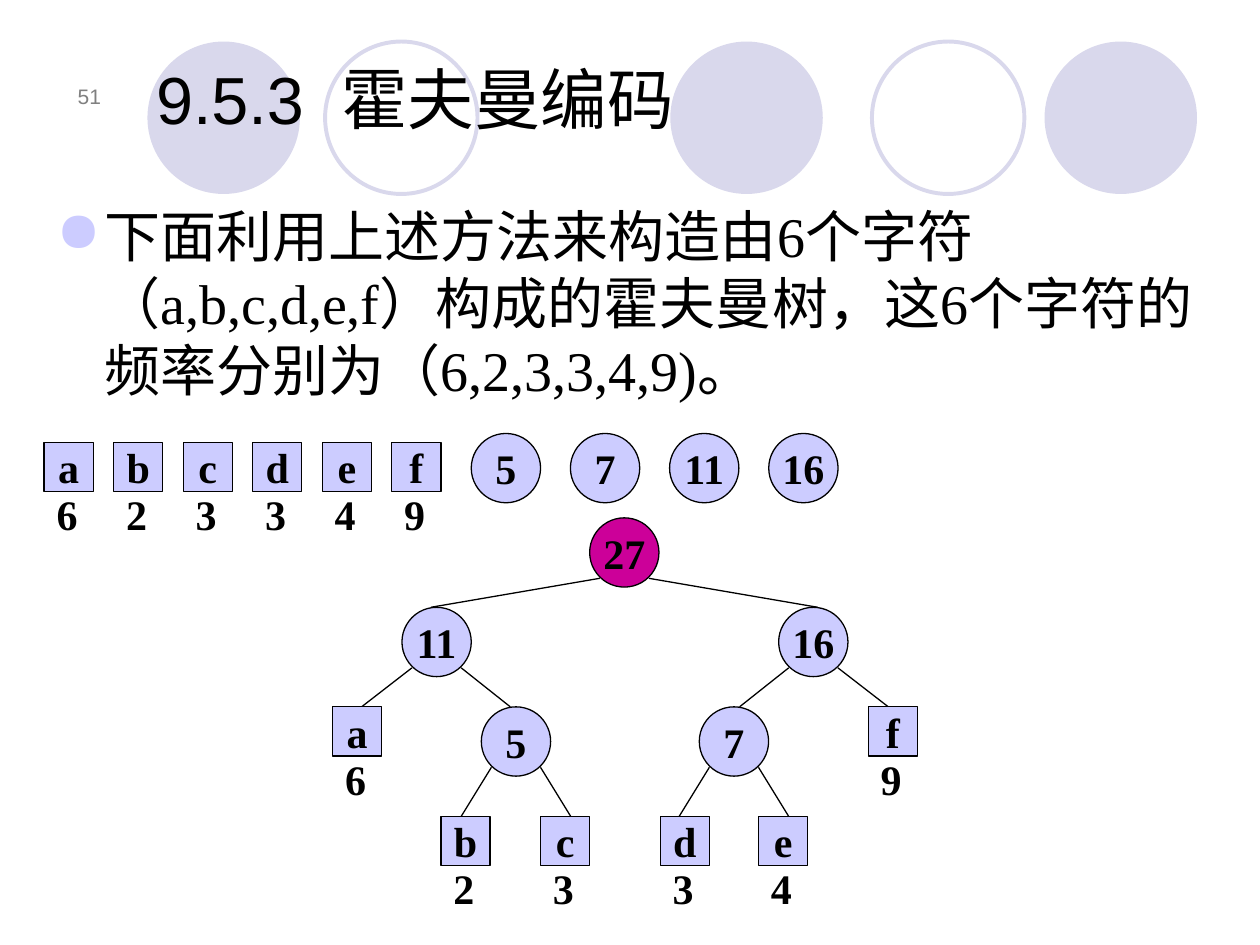
import pptx
import pptx.util
import pptx.dml.color
import pptx.enum.shapes
import pptx.enum.text
import pptx.oxml.ns
import lxml.etree

Inches = pptx.util.Inches
Pt = pptx.util.Pt
RGBColor = pptx.dml.color.RGBColor
SHAPE = pptx.enum.shapes.MSO_SHAPE
ALIGN = pptx.enum.text.PP_ALIGN
ANCHOR = pptx.enum.text.MSO_ANCHOR
qn = pptx.oxml.ns.qn

BLACK = RGBColor(0x00, 0x00, 0x00)
GRAY = RGBColor(0x80, 0x80, 0x80)
PALE = RGBColor(0xD9, 0xD8, 0xEC)
LAVENDER = RGBColor(0xCC, 0xCC, 0xFF)
MAGENTA = RGBColor(0xCC, 0x00, 0x99)
SANS = "Arial"
SERIF = "Times New Roman"

LEAF_SIZE = 0.39
NODE_SIZE = 0.55
FREQUENCIES = {"a": 6, "b": 2, "c": 3, "d": 3, "e": 4, "f": 9}
MERGED_WEIGHTS = ["5", "7", "11", "16"]
DECOR_CIRCLES = [(5.32, True), (8.29, True), (1.17, True), (6.92, False), (2.58, False)]
TREE_POSITIONS = {
    "27": (4.68, 4.11),
    "11": (3.19, 4.82), "16": (6.18, 4.82),
    "a": (2.64, 5.61), "5": (3.82, 5.61), "7": (5.55, 5.61), "f": (6.89, 5.61),
    "b": (3.5, 6.48), "c": (4.29, 6.48), "d": (5.24, 6.48), "e": (6.02, 6.48),
}
TREE_BRANCHES = {
    "27": [("11", 3.42), ("16", 6.49)],
    "11": [("a", 2.87), ("5", 4.05)],
    "16": [("7", 5.87), ("f", 7.05)],
    "5": [("b", 3.66), ("c", 4.53)],
    "7": [("d", 5.39), ("e", 6.26)],
}


def write_text(shape, text, size, font, color=BLACK, bold=False,
               align=ALIGN.LEFT, anchor=ANCHOR.TOP, wrap=True):
    """Put one formatted paragraph in a shape and return it."""
    frame = shape.text_frame
    frame.text = text
    frame.word_wrap = wrap
    frame.vertical_anchor = anchor
    para = frame.paragraphs[0]
    para.alignment = align
    for span in para.runs:
        span.font.size = Pt(size)
        span.font.name = font
        span.font.bold = bold
        span.font.color.rgb = color
    return para


def add_text(page, left, top, width, height, text, size, font, **style):
    """Add a text box and return its paragraph."""
    box = page.shapes.add_textbox(Inches(left), Inches(top), Inches(width), Inches(height))
    return write_text(box, text, size, font, **style)


def add_figure(page, kind, left, top, size, fill=None, line=None, weight=0.75):
    """Add a square-proportioned preset shape without a shadow."""
    shape = page.shapes.add_shape(kind, Inches(left), Inches(top), Inches(size), Inches(size))
    shape.shadow.inherit = False
    if fill is None:
        shape.fill.background()
    else:
        shape.fill.solid()
        shape.fill.fore_color.rgb = fill
    if line is None:
        shape.line.fill.background()
    else:
        shape.line.color.rgb = line
        shape.line.width = Pt(weight)
    return shape


def add_labelled(page, kind, left, top, size, label, fill=LAVENDER):
    """Add an outlined shape with a centred bold label."""
    shape = add_figure(page, kind, left, top, size, fill, BLACK)
    write_text(shape, label, 24, SERIF, bold=True,
               align=ALIGN.CENTER, anchor=ANCHOR.MIDDLE, wrap=False)


def add_node(page, left, top, label, fill=LAVENDER):
    """Add a round inner node."""
    add_labelled(page, SHAPE.OVAL, left, top, NODE_SIZE, label, fill)


def add_leaf(page, left, top, letter):
    """Add a character square with its frequency below."""
    add_labelled(page, SHAPE.RECTANGLE, left, top, LEAF_SIZE, letter)
    add_text(page, left, top + 0.32, LEAF_SIZE, 0.5, str(FREQUENCIES[letter]),
             24, SERIF, bold=True)


def add_branch(page, start, end):
    """Add a thin straight line between two points."""
    points = [Inches(value) for value in (*start, *end)]
    branch = page.shapes.add_connector(pptx.enum.shapes.MSO_CONNECTOR.STRAIGHT, *points)
    branch.line.color.rgb = BLACK
    branch.line.width = Pt(0.75)
    lxml.etree.SubElement(branch.element.spPr, qn("a:effectLst"))


def add_bullet(para, indent, color):
    """Give a paragraph a hanging round bullet."""
    properties = para._p.get_or_add_pPr()
    properties.set("marL", str(Inches(indent)))
    properties.set("indent", str(-Inches(indent)))
    bullet_color = lxml.etree.SubElement(properties, qn("a:buClr"))
    lxml.etree.SubElement(bullet_color, qn("a:srgbClr")).set("val", str(color))
    lxml.etree.SubElement(properties, qn("a:buChar")).set("char", "●")


def add_heading(page):
    """Add the decorative circles, page number, title and body text."""
    for left, filled in DECOR_CIRCLES:
        add_figure(page, SHAPE.OVAL, left, 0.33, 1.21, fill=PALE if filled else None,
                   line=None if filled else PALE, weight=2.25)
    add_text(page, 0.35, 0.44, 0.55, 0.47, "51", 12, SANS, color=GRAY,
             align=ALIGN.RIGHT, anchor=ANCHOR.BOTTOM)
    add_text(page, 1.14, 0.21, 8.59, 0.93, "9.5.3  霍夫曼编码", 38, SANS, anchor=ANCHOR.BOTTOM)
    body = add_text(
        page, 0.35, 1.55, 9.37, 1.89,
        "下面利用上述方法来构造由6个字符（a,b,c,d,e,f）构成的霍夫曼树，"
        "这6个字符的频率分别为（6,2,3,3,4,9)。", 32, SERIF)
    add_bullet(body, 0.38, LAVENDER)


def add_forest(page):
    """Add the row of characters and merged weights."""
    for index, letter in enumerate(FREQUENCIES):
        add_leaf(page, 0.35 + 0.552 * index, 3.51, letter)
    for index, weight in enumerate(MERGED_WEIGHTS):
        add_node(page, 3.74 + 0.787 * index, 3.44, weight)


def add_tree(page):
    """Add the Huffman tree with its branches."""
    for parent, children in TREE_BRANCHES.items():
        left, top = TREE_POSITIONS[parent]
        for (child, touch), offset in zip(children, (0.08, 0.47)):
            add_branch(page, (touch, TREE_POSITIONS[child][1]), (left + offset, top + 0.48))
    for label, (left, top) in TREE_POSITIONS.items():
        if label in FREQUENCIES:
            add_leaf(page, left, top, label)
        else:
            add_node(page, left, top, label, MAGENTA if label == "27" else LAVENDER)


def main():
    """Build and save the slide."""
    deck = pptx.Presentation()
    deck.slide_width = Inches(10)
    deck.slide_height = Inches(7.5)
    page = deck.slides.add_slide(deck.slide_layouts[6])
    add_heading(page)
    add_forest(page)
    add_tree(page)
    deck.save("out.pptx")


if __name__ == "__main__":
    main()
